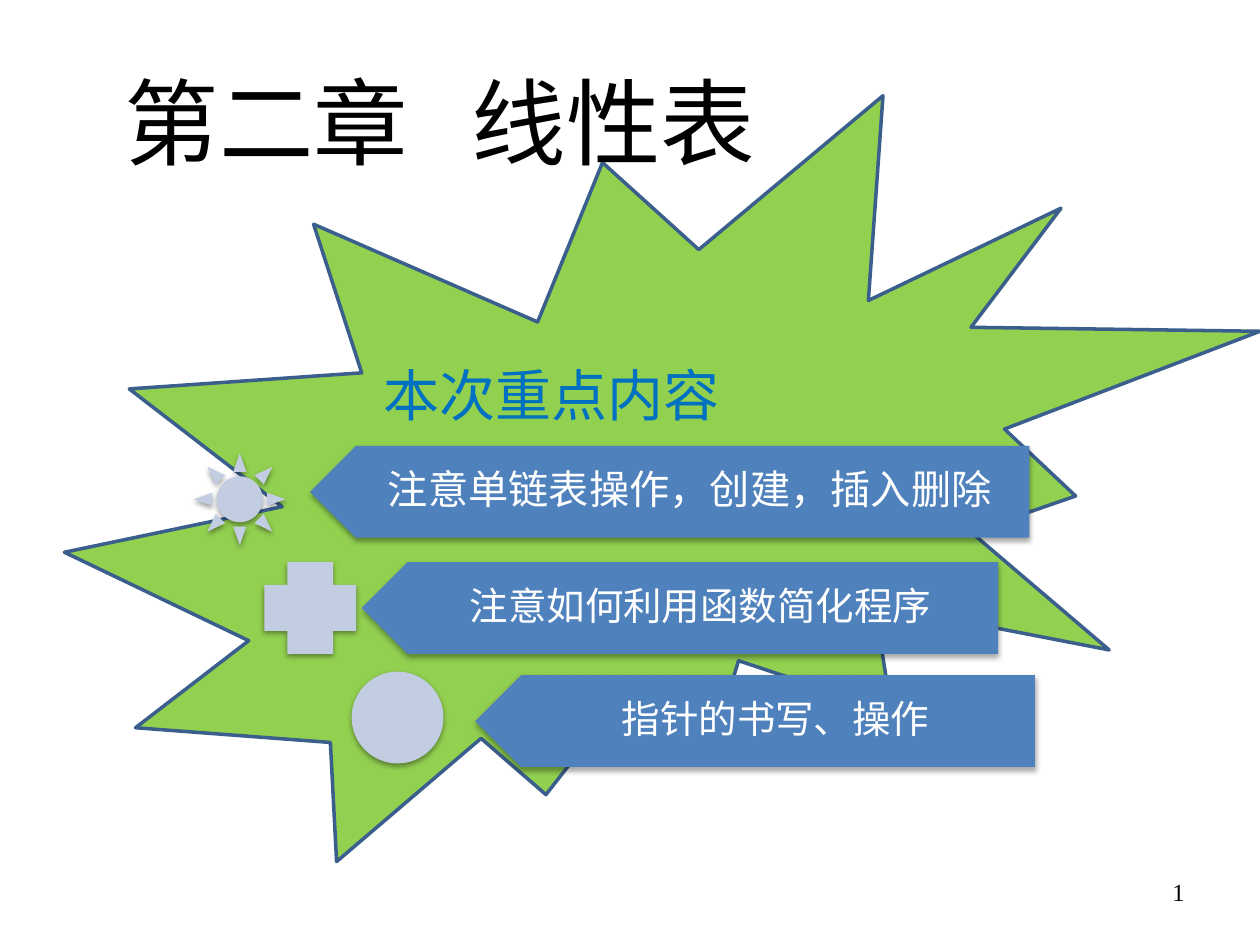
from dataclasses import dataclass

from lxml import etree
from pptx import Presentation
from pptx import util as u
from pptx.dml.color import RGBColor
from pptx.enum import shapes, text
from pptx.oxml import ns

GREEN = RGBColor(0x92, 0xD0, 0x50)
OUTLINE = RGBColor(0x3A, 0x5F, 0x8C)
BLUE = RGBColor(0x4F, 0x81, 0xBD)
PALE_BLUE = RGBColor(0xC2, 0xCD, 0xE1)
HEADING_BLUE = RGBColor(0x00, 0x70, 0xC0)
WHITE = RGBColor(0xFF, 0xFF, 0xFF)
BLACK = RGBColor(0, 0, 0)

CJK_FONT = "Noto Sans CJK JP"
LATIN_FONT = "Calibri"
ROW_HEIGHT = 1.85
TIP_INDENT = 0.47  # the label starts this far right of the banner's tip
SHAPE = shapes.MSO_SHAPE
ALIGN = text.PP_ALIGN
ANCHOR = text.MSO_ANCHOR


@dataclass
class Topic:
    label: str
    size: int
    left: float
    top: float
    width: float
    icon: SHAPE
    icon_left: float
    icon_top: float


TOPICS = [
    Topic("注意单链表操作，创建，插入删除", 23, 6.25, 8.99, 14.5, SHAPE.SUN, 3.91, 9.14),
    Topic("注意如何利用函数简化程序", 22, 7.29, 11.33, 12.83, SHAPE.CROSS, 5.33, 11.33),
    Topic("指针的书写、操作", 22, 9.58, 13.61, 11.28, SHAPE.OVAL, 7.09, 13.54),
]


def lengths(*values: float) -> list:
    return [u.Cm(value) for value in values]


def set_all(target, values: dict) -> None:
    for name, value in values.items():
        setattr(target, name, value)


def add_filled(slide, kind, place: tuple, color: RGBColor):
    shape = slide.shapes.add_shape(kind, *lengths(*place))
    shape.fill.solid()
    shape.fill.fore_color.rgb = color
    shape.line.fill.background()
    shape.shadow.inherit = False
    return shape


def add_shadow(shape, distance: float, opacity: int) -> None:
    """Add a soft black shadow straight below the shape."""
    effects = shape._element.spPr.find(ns.qn("a:effectLst"))
    shadow = etree.SubElement(
        effects, ns.qn("a:outerShdw"), blurRad=str(u.Pt(3.1)),
        dist=str(u.Pt(distance)), dir="5400000", rotWithShape="0")
    black = etree.SubElement(shadow, ns.qn("a:srgbClr"), val="000000")
    etree.SubElement(black, ns.qn("a:alpha"), val=str(opacity * 1000))


def write(box, wording: str, size: int, color: RGBColor, font: str,
          frame: dict, paragraph: dict) -> None:
    set_all(box.text_frame, {"word_wrap": True, **frame})
    para = box.text_frame.paragraphs[0]
    set_all(para, paragraph)
    span = para.add_run()
    span.text = wording
    set_all(span.font, {"name": font, "size": u.Pt(size)})
    span.font.color.rgb = color
    etree.SubElement(span.font._element, ns.qn("a:ea"), typeface=CJK_FONT)


def add_text(slide, place: tuple, *content) -> None:
    write(slide.shapes.add_textbox(*lengths(*place)), *content)


def add_topic(slide, topic: Topic) -> None:
    banner = add_filled(slide, SHAPE.PENTAGON,
                        (topic.left, topic.top, topic.width, ROW_HEIGHT), BLUE)
    banner.rotation = 180
    add_shadow(banner, 1.8, 35)
    left, top, right, bottom = lengths(0.81, 0.24, 0.45, 0.24)
    add_text(
        slide,
        (topic.left + TIP_INDENT, topic.top, topic.width - TIP_INDENT, ROW_HEIGHT),
        topic.label, topic.size, WHITE, LATIN_FONT,
        {"vertical_anchor": ANCHOR.MIDDLE, "margin_left": left, "margin_top": top,
         "margin_right": right, "margin_bottom": bottom},
        {"alignment": ALIGN.CENTER, "line_spacing": 0.9})
    icon = add_filled(slide, topic.icon,
                      (topic.icon_left, topic.icon_top, ROW_HEIGHT, ROW_HEIGHT),
                      PALE_BLUE)
    add_shadow(icon, 1.6, 38)


def main() -> None:
    deck = Presentation()
    deck.slide_width, deck.slide_height = lengths(25.4, 19.05)
    page = deck.slides.add_slide(deck.slide_layouts[5])

    burst = add_filled(page, SHAPE.EXPLOSION2, (1.3, 1.93, 24.1, 15.44), GREEN)
    burst.line.color.rgb = OUTLINE
    burst.line.width = u.Pt(2)

    title = page.shapes.title
    page.shapes._spTree.append(title._element)  # bring in front of the burst
    left, top, width, height = lengths(0.51, 0.33, 16.71, 4.19)
    set_all(title, {"left": left, "top": top, "width": width, "height": height})
    write(title, "第二章   线性表", 54, BLACK, CJK_FONT,
          {"vertical_anchor": ANCHOR.MIDDLE}, {"alignment": ALIGN.CENTER})

    add_text(page, (7.49, 7.14, 12.57, 3.07), "本次重点内容", 32, HEADING_BLUE,
             LATIN_FONT, {}, {"alignment": ALIGN.LEFT})
    add_text(page, (18.21, 17.35, 5.92, 1.27), "1", 14, BLACK, "Times New Roman",
             {"vertical_anchor": ANCHOR.MIDDLE}, {"alignment": ALIGN.RIGHT})
    for topic in TOPICS:
        add_topic(page, topic)

    deck.save("out.pptx")


if __name__ == "__main__":
    main()
